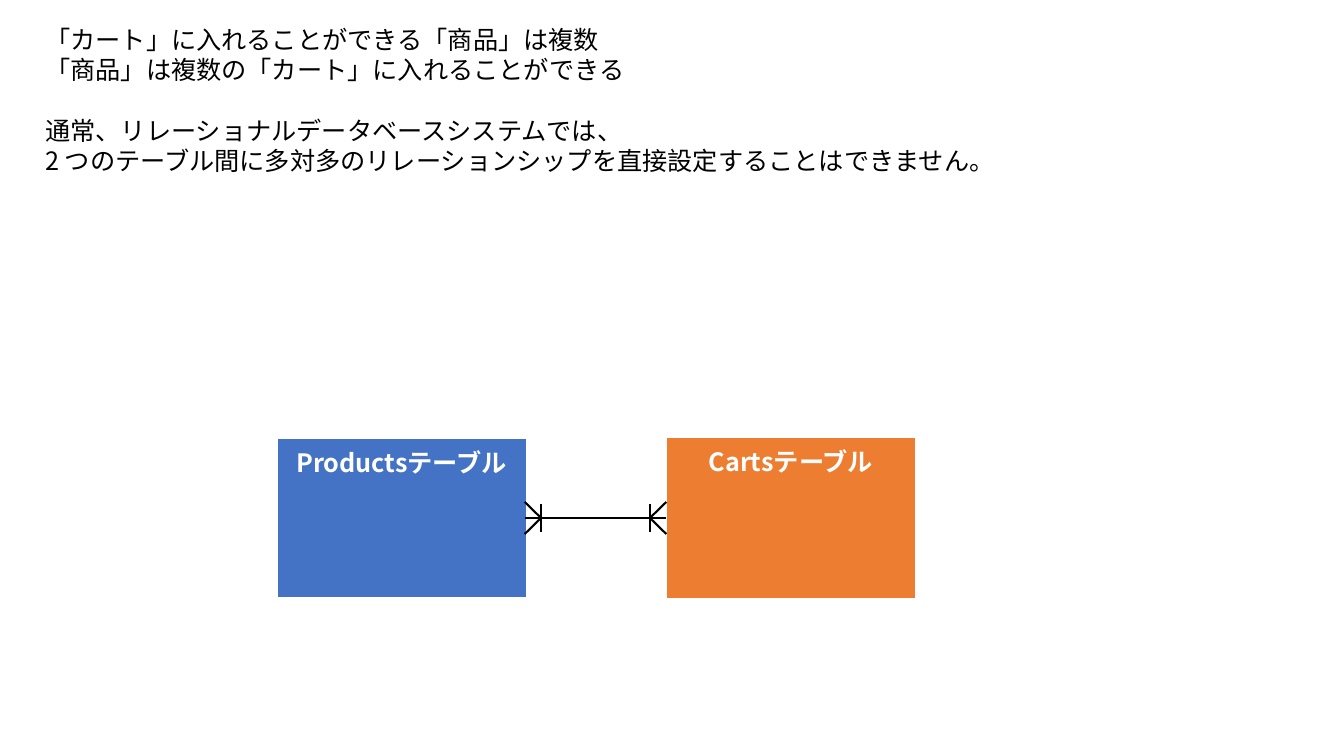
from dataclasses import dataclass

import pptx
import pptx.dml.color
import pptx.enum.shapes
import pptx.enum.text
import pptx.oxml.ns
import pptx.util
from lxml import etree

Pt = pptx.util.Pt
qn = pptx.oxml.ns.qn


@dataclass(frozen=True)
class Theme:
    font: str = "Noto Sans CJK JP"
    size: float = 18
    leading: float = 21.6
    line_width: float = 1.5
    ink: str = "000000"
    paper: str = "FFFFFF"
    products: str = "4472C4"
    carts: str = "ED7D31"


def rgb(value):
    return pptx.dml.color.RGBColor.from_string(value)


class SlideBuilder:
    def __init__(self, s, theme):
        self.s = s
        self.theme = theme

    def style(self, p, color, bold=False):
        for r in p.runs:
            r.font.name = self.theme.font
            r.font.size = Pt(self.theme.size)
            r.font.bold = bold
            r.font.color.rgb = rgb(color)
            ea = etree.SubElement(r.font._element, qn("a:ea"))
            ea.set("typeface", self.theme.font)

    def text(self, left, top, width, height, groups):
        """Write groups of lines, with one line of space between groups."""
        box = self.s.shapes.add_textbox(Pt(left), Pt(top), Pt(width), Pt(height))
        tf = box.text_frame
        tf.word_wrap = False
        tf.text = "\n".join(line for group in groups for line in group)
        starts = {sum(len(g) for g in groups[:i]) for i in range(1, len(groups))}
        for i, p in enumerate(tf.paragraphs):
            p.line_spacing = Pt(self.theme.leading)
            if i in starts:
                p.space_before = Pt(self.theme.leading)
            self.style(p, self.theme.ink)

    def entity(self, left, top, width, height, name, fill):
        """Add a one-cell table that stands for a database table."""
        frame = self.s.shapes.add_table(1, 1, Pt(left), Pt(top), Pt(width), Pt(height))
        frame.table.horz_banding = False
        cell = frame.table.cell(0, 0)
        cell.text = name
        p = cell.text_frame.paragraphs[0]
        p.alignment = pptx.enum.text.PP_ALIGN.CENTER
        self.style(p, self.theme.paper, bold=True)
        tc_pr = cell._tc.get_or_add_tcPr()
        for side, width_pt in (("L", 1), ("R", 1), ("T", 1), ("B", 3)):
            ln = etree.SubElement(tc_pr, qn(f"a:ln{side}"), w=str(Pt(width_pt)))
            solid = etree.SubElement(ln, qn("a:solidFill"))
            etree.SubElement(solid, qn("a:srgbClr"), val=self.theme.paper)
        cell.fill.solid()
        cell.fill.fore_color.rgb = rgb(fill)

    def line(self, shapes, x1, y1, x2, y2):
        c = shapes.add_connector(
            pptx.enum.shapes.MSO_CONNECTOR.STRAIGHT, Pt(x1), Pt(y1), Pt(x2), Pt(y2))
        c.line.color.rgb = rgb(self.theme.ink)
        c.line.width = Pt(self.theme.line_width)
        etree.SubElement(c._element.spPr, qn("a:effectLst"))

    def many_to_many(self, left, right, y, depth=11.75, spread=11.5, bar=9.75):
        """Draw a relationship line with a crow's foot at both ends."""
        shapes = self.s.shapes.add_group_shape().shapes
        self.line(shapes, left, y, right, y)
        for edge, inward in ((left, 1), (right, -1)):
            tip = edge + inward * depth
            self.line(shapes, tip, y - bar, tip, y + bar)
            for dy in (-spread, spread):
                self.line(shapes, edge, y + dy, tip, y)


def main():
    prs = pptx.Presentation()
    prs.slide_width, prs.slide_height = Pt(960), Pt(540)
    theme = Theme()
    slide = SlideBuilder(prs.slides.add_slide(prs.slide_layouts[6]), theme)

    slide.entity(198, 313.2, 177.8, 114.5, "Productsテーブル", theme.products)
    slide.entity(476, 312.5, 177.8, 115.9, "Cartsテーブル", theme.carts)
    slide.many_to_many(374.75, 476, 370)
    slide.text(25.2, 13.8, 702, 138.2, [
        ["「カート」に入れることができる「商品」は複数",
         "「商品」は複数の「カート」に入れることができる"],
        ["通常、リレーショナルデータベースシステムでは、",
         "2 つのテーブル間に多対多のリレーションシップを直接設定することはできません。"],
    ])
    prs.save("out.pptx")


if __name__ == "__main__":
    main()
